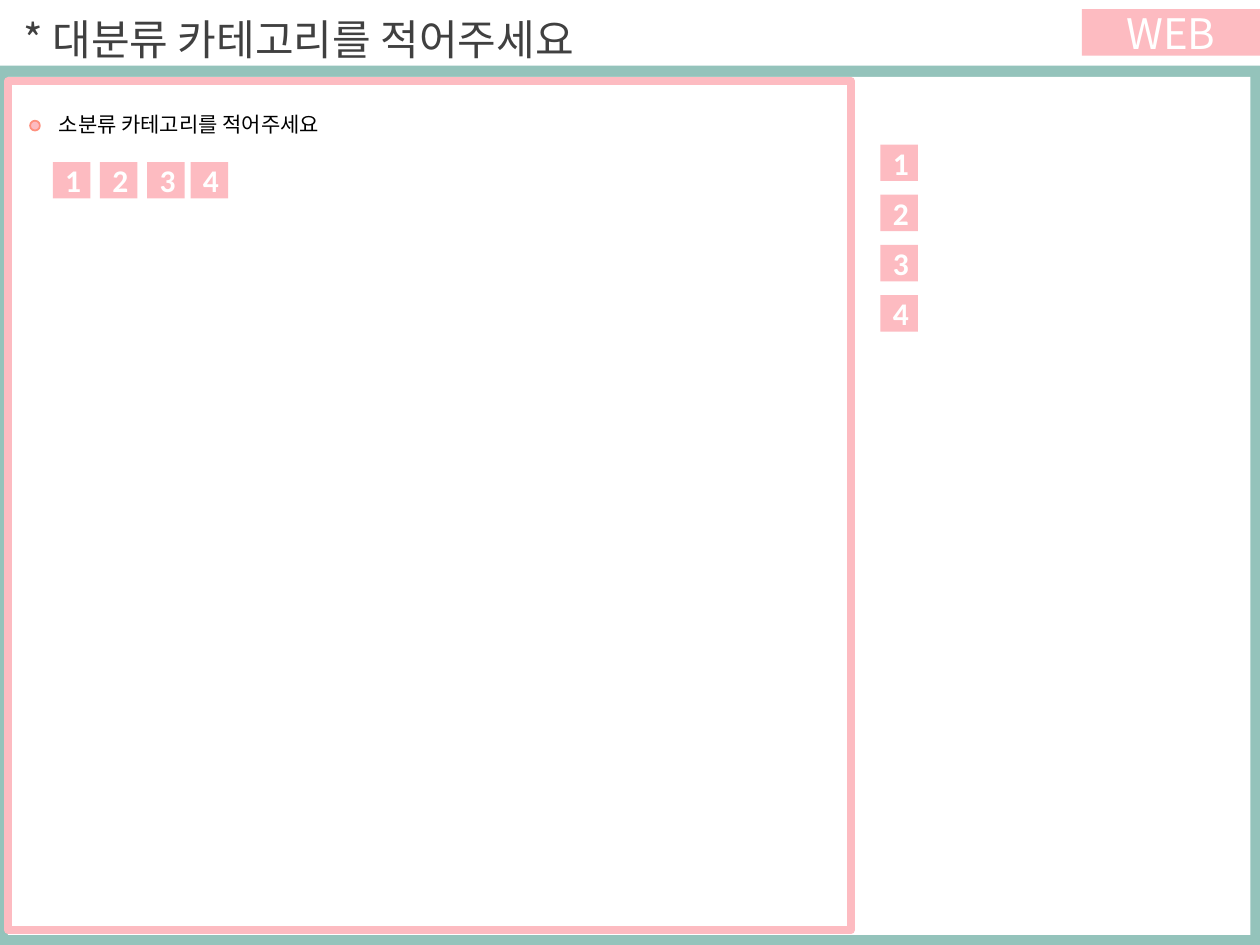
from lxml.etree import SubElement
from pptx import Presentation
from pptx.dml.color import RGBColor
from pptx.enum.shapes import MSO_SHAPE as Shape
from pptx.enum.text import MSO_ANCHOR as Anchor, MSO_AUTO_SIZE as AutoSize, PP_ALIGN as Align
from pptx.oxml.ns import qn
from pptx.util import Pt

THEME = {
    "green": RGBColor(0x94, 0xC3, 0xBB),
    "pink": RGBColor(0xFD, 0xBB, 0xC1),
    "coral": RGBColor(0xFE, 0x90, 0x7E),
    "white": RGBColor(0xFF, 0xFF, 0xFF),
    "grey": RGBColor(0x40, 0x40, 0x40),
    "black": RGBColor(0, 0, 0),
    "heading": Pt(24),
    "number": Pt(18),
    "small": Pt(12),
    "korean": "Noto Sans CJK KR",
    "latin": "Calibri",
}

presentation = Presentation()
presentation.slide_width, presentation.slide_height = Pt(720), Pt(540)
slide = presentation.slides.add_slide(presentation.slide_layouts[5])


def add_block(box, fill=None, line=None, width=0, kind=Shape.RECTANGLE):
    shape = slide.shapes.add_shape(kind, *map(Pt, box))
    shape.shadow.inherit = False
    if fill:
        shape.fill.solid()
        shape.fill.fore_color.rgb = THEME[fill]
    else:
        shape.fill.background()
    if line:
        shape.line.color.rgb = THEME[line]
        shape.line.width = Pt(width)
    else:
        shape.line.fill.background()
    return shape


def write(shape, text, size, color, font="korean", bold=False,
          align=Align.CENTER, anchor=Anchor.MIDDLE, wrap=True):
    frame = shape.text_frame
    frame.auto_size = AutoSize.NONE
    frame.word_wrap = wrap
    frame.vertical_anchor = anchor
    paragraph = frame.paragraphs[0]
    paragraph.alignment = align
    run = paragraph.add_run()
    run.text = text
    formats = {"name": THEME[font], "size": THEME[size], "bold": bold}
    for name, value in formats.items():
        setattr(run.font, name, value)
    run.font.color.rgb = THEME[color]
    # East Asian typeface for the Hangul
    SubElement(run.font._element, qn("a:ea"), typeface=THEME["korean"])


# Frame: green border, white page, pink content outline
add_block((0, 37.5, 720, 502.5), "green")
add_block((4.5, 43.9, 710, 490.4), "white")
add_block((4.5, 46.3, 481.7, 485.2), line="pink", width=4.5)

# Title and platform label
title = slide.shapes.title
title.left, title.top, title.width, title.height = map(Pt, (0, 0, 341.3, 44))
write(title, "* 대분류 카테고리를 적어주세요", "heading", "grey", wrap=False)
label = add_block((618.3, 5.2, 101.7, 26.7), "pink")
write(label, "WEB", "heading", "white")

# Subcategory with its dot
add_block((17.2, 69, 5.6, 5.6), "pink", "coral", 1, Shape.OVAL)
subcategory = slide.shapes.add_textbox(*map(Pt, (26.5, 60.5, 275, 21.6)))
write(subcategory, "소분류 카테고리를 적어주세요", "small", "black", "latin",
      align=Align.LEFT, anchor=Anchor.TOP)

# Number markers: a row in the content area, a column beside it
row = [(left, 92.6) for left in (30.2, 57.1, 84.1, 108.9)]
column = [(503.1, 82.6 + 28.7 * step) for step in range(4)]
for markers in (row, column):
    for number, (left, top) in enumerate(markers, start=1):
        marker = add_block((left, top, 21.5, 20.8), "pink")
        write(marker, str(number), "number", "white", "latin", bold=True)

presentation.save("out.pptx")
